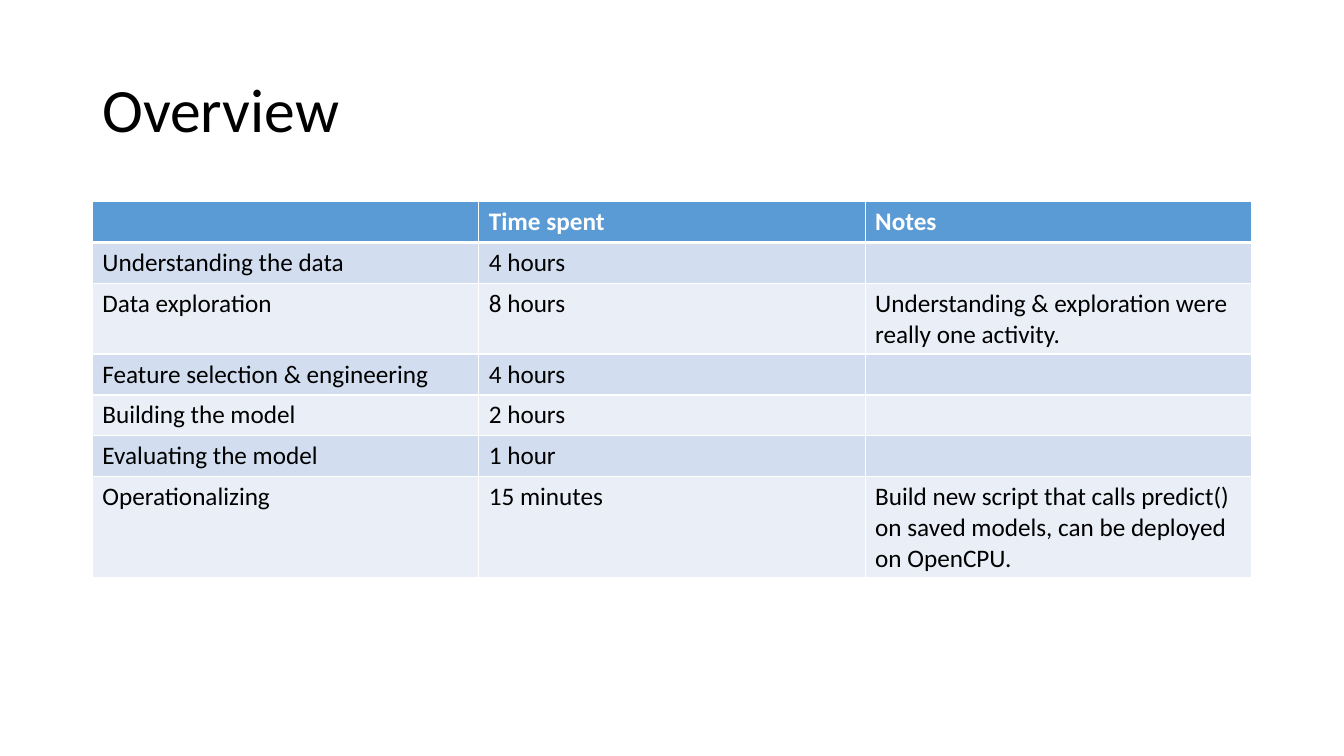
from lxml import etree
from pptx import Presentation
from pptx.dml.color import RGBColor
from pptx.enum.text import MSO_ANCHOR
from pptx.oxml.ns import qn
from pptx.util import Pt

PX = 9525  # EMU per px, 96 px to the inch
BLANK_LAYOUT = 6
MIDDLE = MSO_ANCHOR.MIDDLE
FONT = "Calibri"

BLACK = RGBColor(0x00, 0x00, 0x00)
WHITE = RGBColor(0xFF, 0xFF, 0xFF)
HEADER_BLUE = RGBColor(0x5B, 0x9B, 0xD5)
BAND_DARK = RGBColor(0xD2, 0xDE, 0xEF)
BAND_LIGHT = RGBColor(0xEA, 0xEF, 0xF7)

TITLE_BOX = (88, 38, 1104, 139)
TABLE_BOX = (88, 192, 1104, 273)

ACTIVITIES = [
    ("", "Time spent", "Notes"),
    ("Understanding the data", "4 hours", ""),
    ("Data exploration", "8 hours",
     "Understanding & exploration were really one activity."),
    ("Feature selection & engineering", "4 hours", ""),
    ("Building the model", "2 hours", ""),
    ("Evaluating the model", "1 hour", ""),
    ("Operationalizing", "15 minutes",
     "Build new script that calls predict() on saved models, "
     "can be deployed on OpenCPU."),
]


def to_emu(box):
    return [length * PX for length in box]


def write(frame, text, size, color, bold=False):
    para = frame.paragraphs[0]
    para.text = text
    para.font.name = FONT
    para.font.size = Pt(size)
    para.font.bold = bold
    para.font.color.rgb = color
    return para


def add_title(page, box, text):
    frame = page.shapes.add_textbox(*to_emu(box)).text_frame
    frame.word_wrap = True
    frame.vertical_anchor = MIDDLE
    write(frame, text, 44, BLACK).line_spacing = 0.9


def add_borders(cell, widths):
    """Draw white cell edges; widths maps each edge tag to points."""
    properties = cell._tc.get_or_add_tcPr()
    for edge, width in widths.items():
        line = etree.SubElement(properties, qn(edge), w=str(Pt(width)))
        fill = etree.SubElement(line, qn("a:solidFill"))
        etree.SubElement(fill, qn("a:srgbClr"), val=str(WHITE))


def add_activity_table(page, box, rows):
    table = page.shapes.add_table(len(rows), len(rows[0]), *to_emu(box)).table
    for row_index, row in enumerate(rows):
        is_header = row_index == 0
        band = BAND_DARK if row_index % 2 else BAND_LIGHT
        # The rule under the header is heavier on both sides of the edge
        widths = {"a:lnL": 1, "a:lnR": 1,
                  "a:lnT": 3 if row_index == 1 else 1,
                  "a:lnB": 3 if is_header else 1}
        for column_index, text in enumerate(row):
            cell = table.cell(row_index, column_index)
            add_borders(cell, widths)
            cell.fill.solid()
            cell.fill.fore_color.rgb = HEADER_BLUE if is_header else band
            write(cell.text_frame, text, 18,
                  WHITE if is_header else BLACK, is_header)


def main():
    deck = Presentation()
    deck.slide_width, deck.slide_height = to_emu((1280, 720))
    page = deck.slides.add_slide(deck.slide_layouts[BLANK_LAYOUT])
    add_title(page, TITLE_BOX, "Overview")
    add_activity_table(page, TABLE_BOX, ACTIVITIES)
    deck.save("out.pptx")


if __name__ == "__main__":
    main()
